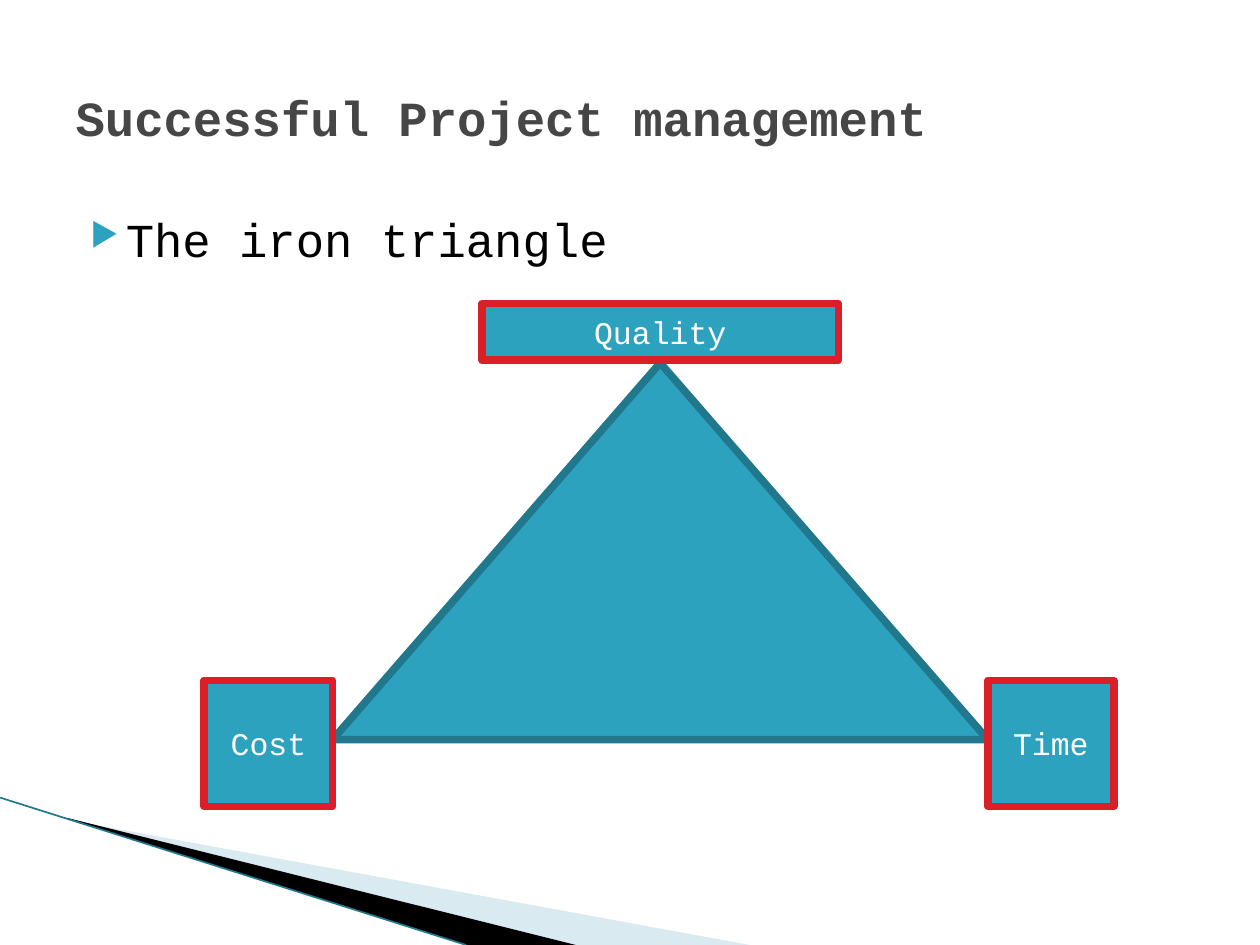
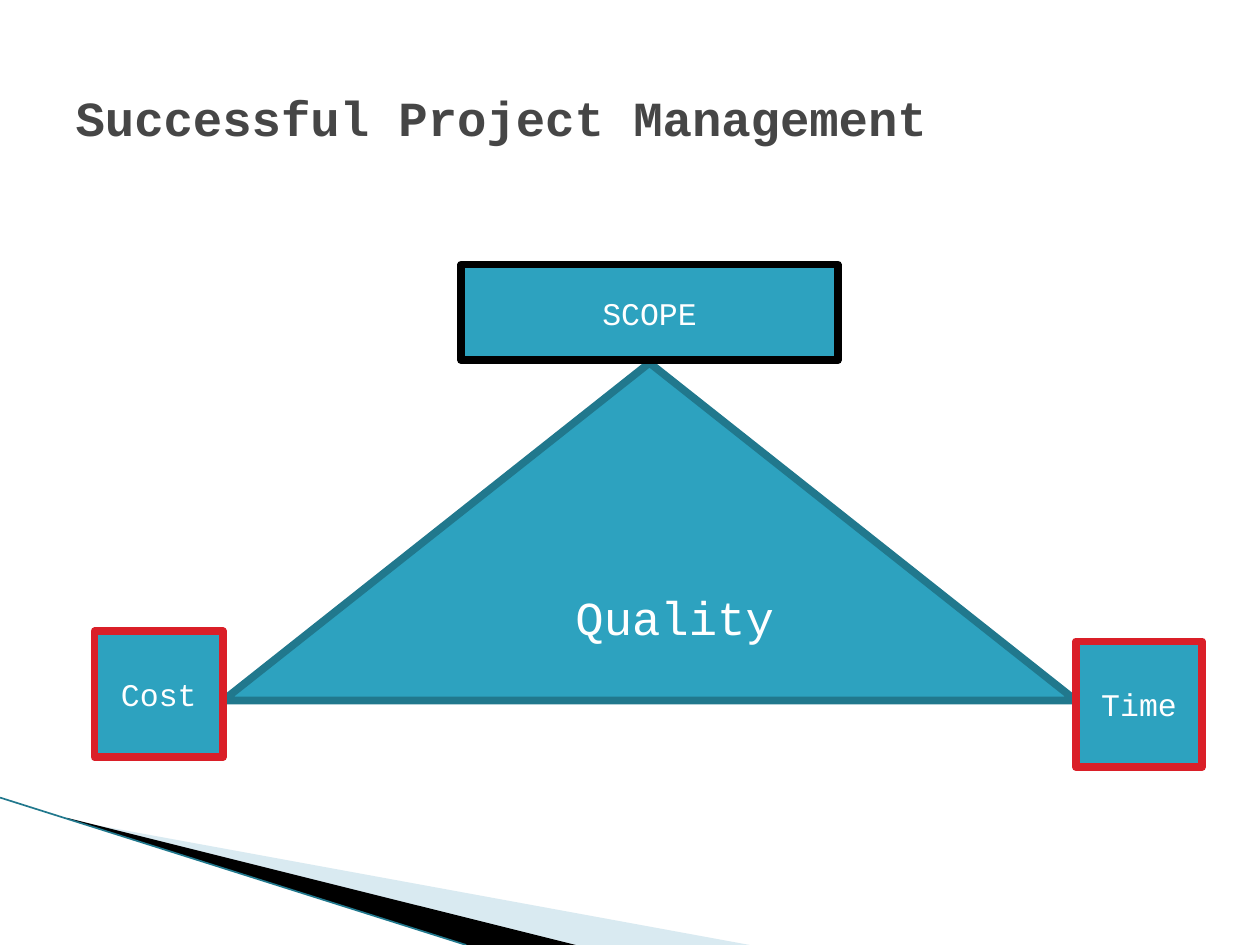
from lxml import etree
from pptx import Presentation
from pptx.dml.color import RGBColor
from pptx.enum.shapes import MSO_CONNECTOR, MSO_SHAPE
from pptx.enum.text import MSO_ANCHOR, PP_ALIGN
from pptx.oxml.ns import qn
from pptx.util import Inches, Pt

LINE = MSO_CONNECTOR.STRAIGHT
RECT, PEAK = MSO_SHAPE.RECTANGLE, MSO_SHAPE.ISOSCELES_TRIANGLE
MIDDLE, TOP = MSO_ANCHOR.MIDDLE, MSO_ANCHOR.TOP
LEFT, CENTER = PP_ALIGN.LEFT, PP_ALIGN.CENTER

TEAL = RGBColor(0x2D, 0xA2, 0xBF)
DEEP = RGBColor(0x21, 0x78, 0x8D)
PALE = RGBColor(0xA0, 0xCB, 0xDC)
RED = RGBColor(0xDA, 0x1F, 0x28)
GRAY = RGBColor(0x46, 0x46, 0x46)
BLACK = RGBColor(0, 0, 0)
WHITE = RGBColor(255, 255, 255)

# Grid of square cells
COLS, ROWS = 100, 75
CELL = Inches(0.1)


def grid(*cells):
    return [round(cell * CELL) for cell in cells]


class Deck:
    font = "Courier New"
    edge = Pt(4.33)
    title_size, body_size, box_size = Pt(28), Pt(27), Pt(18)
    indent, hang = grid(4, 2.8)

    def __init__(self):
        self.prs = Presentation()
        self.prs.slide_width, self.prs.slide_height = grid(COLS, ROWS)

    def page(self, title):
        """Start a slide with the shared title and corner bands."""
        self.slide = self.prs.slides.add_slide(self.prs.slide_layouts[5])
        self.shapes = self.slide.shapes
        head = self.shapes.title
        head.left, head.top, head.width, head.height = grid(5, 3, 90, 12.5)
        self.label(head, title, self.title_size, GRAY, LEFT, MIDDLE, True)
        self.band([(5.5, 65.1), (59.5, ROWS), (45.6, ROWS), (5.5, 65)], PALE, 40)
        self.band([(5.3, 64.9), (45.7, ROWS), (37, ROWS), (5.4, 65)], BLACK)
        self.rule((0, 63.3), (37, ROWS), DEEP, Pt(0.95))

    def label(self, shape, text, size, color, align, anchor, bold=False):
        frame = shape.text_frame
        frame.word_wrap = True
        frame.vertical_anchor = anchor
        para = frame.paragraphs[0]
        para.text = text
        para.alignment = align
        font = para.font
        font.name, font.size, font.bold = self.font, size, bold
        font.color.rgb = color
        return para

    def band(self, points, color, alpha=100):
        first, *rest = [grid(*point) for point in points]
        maker = self.shapes.build_freeform(*first)
        maker.add_line_segments(rest, close=True)
        shape = maker.convert_to_shape()
        shape.shadow.inherit = False
        shape.fill.solid()
        shape.fill.fore_color.rgb = color
        shape.line.fill.background()
        if alpha < 100:
            tint = shape._element.spPr.find(".//" + qn("a:srgbClr"))
            etree.SubElement(tint, qn("a:alpha"), val=str(alpha * 1000))

    def rule(self, start, end, color, width):
        line = self.shapes.add_connector(LINE, *grid(*start, *end))
        line.line.color.rgb, line.line.width = color, width
        etree.SubElement(line._element.spPr, qn("a:effectLst"))

    def bullet(self, text, area):
        box = self.shapes.add_textbox(*grid(*area))
        para = self.label(box, text, self.body_size, BLACK, LEFT, TOP)
        para.space_before = Pt(4)
        props = para._p.get_or_add_pPr()
        props.set("marL", str(self.indent))
        props.set("indent", str(-self.hang))
        tint = etree.SubElement(props, qn("a:buClr"))
        etree.SubElement(tint, qn("a:srgbClr"), val=str(TEAL))
        etree.SubElement(props, qn("a:buSzPct"), val="68000")
        etree.SubElement(props, qn("a:buChar"), char="\u25b6")
        # The schema puts the default run style after the bullet
        props.append(props.find(qn("a:defRPr")))

    def solid(self, kind, area, border):
        shape = self.shapes.add_shape(kind, *grid(*area))
        shape.shadow.inherit = False
        shape.fill.solid()
        shape.fill.fore_color.rgb = TEAL
        shape.line.color.rgb, shape.line.width = border, self.edge
        return shape

    def box(self, text, area, border=RED):
        shape = self.solid(RECT, area, border)
        self.label(shape, text, self.box_size, WHITE, CENTER, MIDDLE)

    def model(self, area, top, cost, time, core=None):
        """Triangle with a box on its peak and one at each base corner."""
        left, peak, width, _ = area
        shape = self.solid(PEAK, area, DEEP)
        if core:
            para = self.label(shape, core, self.body_size, WHITE, CENTER, MIDDLE)
            para.space_before = Pt(4)
            para._p.get_or_add_pPr().set("marL", str(self.indent))
        text, wide, high, border = top
        mid = left + width / 2
        self.box(text, (mid - wide / 2, peak - 0.2 - high, wide, high), border)
        self.box("Cost", (left - 10.2, cost, 10.2, 10))
        self.box("Time", (left + width, time, 10, 10))


deck = Deck()

# Iron triangle
deck.page("Successful Project management")
deck.bullet("The iron triangle", (5, 16.2, 90, 49.5))
deck.model((26.4, 28.8, 52, 29.9), ("Quality", 28.3, 4.5, RED), 54, 54)

# Scope on top, quality at the core
deck.page("Successful Project Management")
deck.model((17.7, 28.8, 67.7, 26.8), ("SCOPE", 29.9, 7.6, BLACK),
           50.1, 50.9, "Quality")

deck.prs.save("out.pptx")
